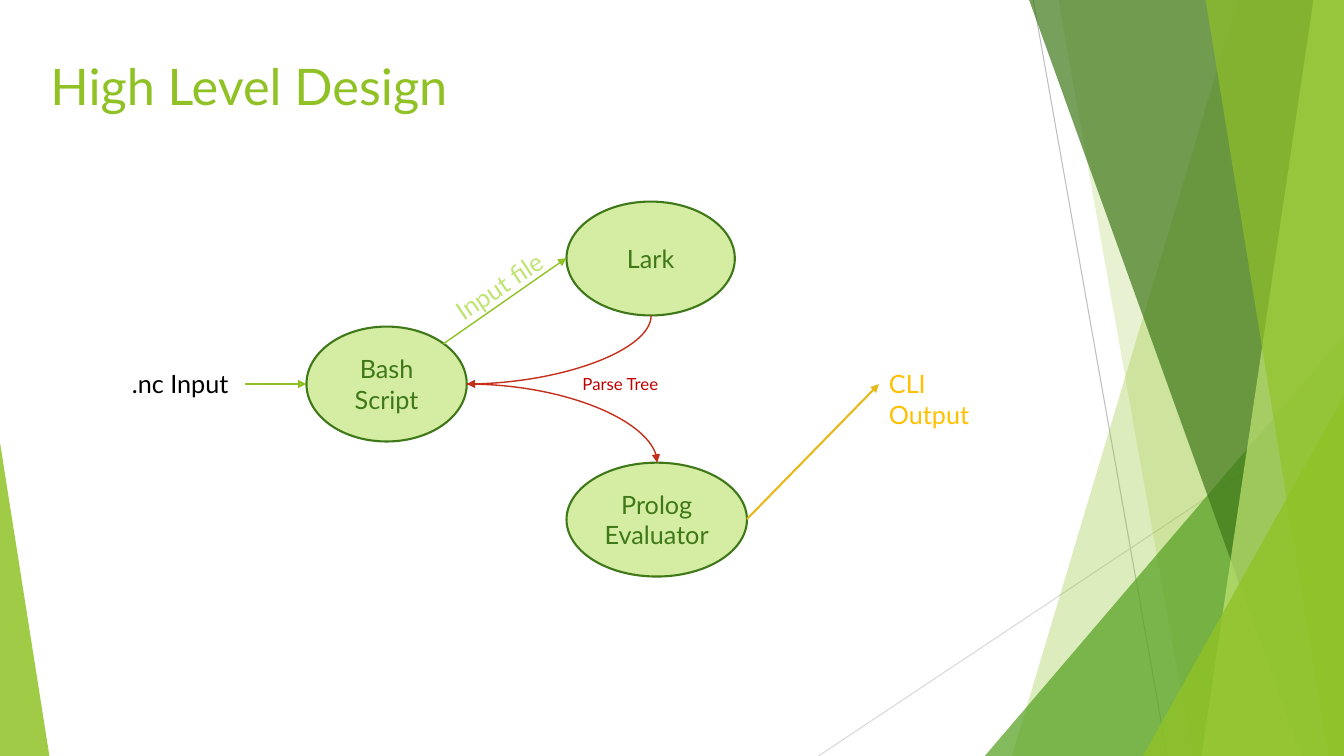
from lxml import etree
from pptx import Presentation
from pptx.dml.color import RGBColor
from pptx.enum.shapes import MSO_CONNECTOR, MSO_SHAPE
from pptx.enum.text import MSO_ANCHOR, MSO_AUTO_SIZE, PP_ALIGN
from pptx.oxml.ns import qn
from pptx.util import Inches, Pt

STRAIGHT, CURVE = MSO_CONNECTOR.STRAIGHT, MSO_CONNECTOR.CURVE
OVAL, TRIANGLE = MSO_SHAPE.OVAL, MSO_SHAPE.ISOSCELES_TRIANGLE
TOP, MIDDLE = MSO_ANCHOR.TOP, MSO_ANCHOR.MIDDLE
LEFT, CENTER = PP_ALIGN.LEFT, PP_ALIGN.CENTER
GROW, FIXED = MSO_AUTO_SIZE.SHAPE_TO_FIT_TEXT, MSO_AUTO_SIZE.NONE

FONT = "Lato"
COLS, ROWS = 133.33, 75
COLORS = {
    "green": "90C226", "leaf": "54A021", "forest": "3F7819",
    "lime": "C0E474", "pale": "D5EDA2", "red": "C42F1A",
    "crimson": "C00000", "gold": "E6B91E", "amber": "FFC000",
    "black": "000000", "gray": "BFBFBF", "silver": "D9D9D9",
}


def grid(*cells):
    return [Inches(c / 10) for c in cells]


def rgb(name):
    return RGBColor.from_string(COLORS[name])


def fill_glass(sp, color, opacity):
    sp.shadow.inherit = False
    sp.fill.solid()
    sp.fill.fore_color.rgb = rgb(color)
    sp.line.fill.background()
    clr = sp._element.spPr.find(qn("a:solidFill"))[0]
    etree.SubElement(clr, qn("a:alpha"), val=str(opacity * 1000))


def add_band(s, top_col, bottom_col, color, opacity):
    corners = [grid(c, r) for c, r in
               [(COLS, 0), (COLS, ROWS), (bottom_col, ROWS)]]
    builder = s.shapes.build_freeform(*grid(top_col, 0))
    builder.add_line_segments(corners, close=True)
    fill_glass(builder.convert_to_shape(), color, opacity)


def add_wedge(s, left, top, right, apex, color, opacity):
    sp = s.shapes.add_shape(TRIANGLE, *grid(left, top, right - left, ROWS - top))
    sp.adjustments[0] = apex
    fill_glass(sp, color, opacity)


def add_line(s, start, end, color, width, arrow=None, kind=STRAIGHT):
    line = s.shapes.add_connector(kind, *grid(*start, *end))
    line.line.color.rgb = rgb(color)
    line.line.width = Pt(width)
    spPr = line._element.spPr
    if kind == CURVE:
        spPr.find(qn("a:prstGeom")).set("prst", "curvedConnector2")
    if arrow:
        etree.SubElement(spPr.find(qn("a:ln")), qn(f"a:{arrow}"), type="triangle")
    etree.SubElement(spPr, qn("a:effectLst"))


def write(sp, text, size, color, align=LEFT, anchor=TOP):
    tf = sp.text_frame
    tf.text = text
    tf.word_wrap = True
    tf.vertical_anchor = anchor
    p = tf.paragraphs[0]
    p.alignment = align
    p.font.name = FONT
    p.font.size = Pt(size)
    p.font.color.rgb = rgb(color)
    return tf


def add_title(s, text):
    sp = s.shapes.title
    sp.left, sp.top, sp.width, sp.height = grid(4, 5, 94, 14.4)
    write(sp, text, 36, "green").auto_size = FIXED


def add_node(s, text, *box):
    sp = s.shapes.add_shape(OVAL, *grid(*box))
    sp.shadow.inherit = False
    sp.fill.solid()
    sp.fill.fore_color.rgb = rgb("pale")
    sp.line.color.rgb = rgb("forest")
    sp.line.width = Pt(1.5)
    write(sp, text, 18, "forest", CENTER, MIDDLE)


def add_label(s, text, box, color, size=18, wrap=False, rotation=0):
    sp = s.shapes.add_textbox(*grid(*box))
    sp.rotation = rotation
    tf = write(sp, text, size, color)
    tf.word_wrap = wrap
    tf.auto_size = GROW


def add_backdrop(s):
    add_line(s, (102.5, 0), (115.8, ROWS), "gray", 0.75)
    add_line(s, (COLS, 40.3), (81.2, ROWS), "silver", 0.75)
    add_band(s, 122.8, 100.4, "green", 30)
    add_band(s, 105, 118.3, "green", 20)
    add_wedge(s, 97.7, 33.3, COLS, 1, "leaf", 72)
    add_band(s, 102.1, 129.1, "forest", 70)
    add_band(s, 130.3, 119.2, "lime", 70)
    add_band(s, 119.6, 131.8, "green", 65)
    add_wedge(s, 113.4, 39.3, COLS, 1, "green", 80)
    add_wedge(s, 0, 43.9, 4.9, 0, "green", 85)


def add_flow(s):
    axis = 38.1
    bash_right = (46.3, axis)
    add_node(s, "Bash Script", 30.4, 32.4, 15.9, 11.4)
    add_node(s, "Lark", 56.2, 20, 16.7, 11.3)
    add_node(s, "Prolog Evaluator", 56.2, 45.9, 17.9, 11.3)
    add_line(s, (44, 34.1), (56.2, 25.6), "green", 1, "tailEnd")
    add_line(s, (24.3, axis), (30.4, axis), "green", 1, "tailEnd")
    add_line(s, bash_right, (64.6, 31.3), "red", 1, "headEnd", CURVE)
    add_line(s, bash_right, (65.2, 45.9), "red", 1, "tailEnd", CURVE)
    add_line(s, (74.1, 51.5), (87.2, axis), "gold", 1.5, "tailEnd")
    add_label(s, ".nc Input", (12.1, 36.1, 12.2, 4), "black")
    add_label(s, "Parse Tree", (56.8, 36.6, 10.8, 3), "crimson", 12, wrap=True)
    add_label(s, "Input file", (43.6, 26.2, 12.4, 4), "lime", rotation=326.4)
    add_label(s, "CLI Output", (87.2, 36.1, 14.1, 4), "amber", wrap=True)


def main():
    prs = Presentation()
    prs.slide_width, prs.slide_height = grid(COLS, ROWS)
    s = prs.slides.add_slide(prs.slide_layouts[5])
    add_backdrop(s)
    add_title(s, "High Level Design")
    add_flow(s)
    prs.save("out.pptx")


if __name__ == "__main__":
    main()
